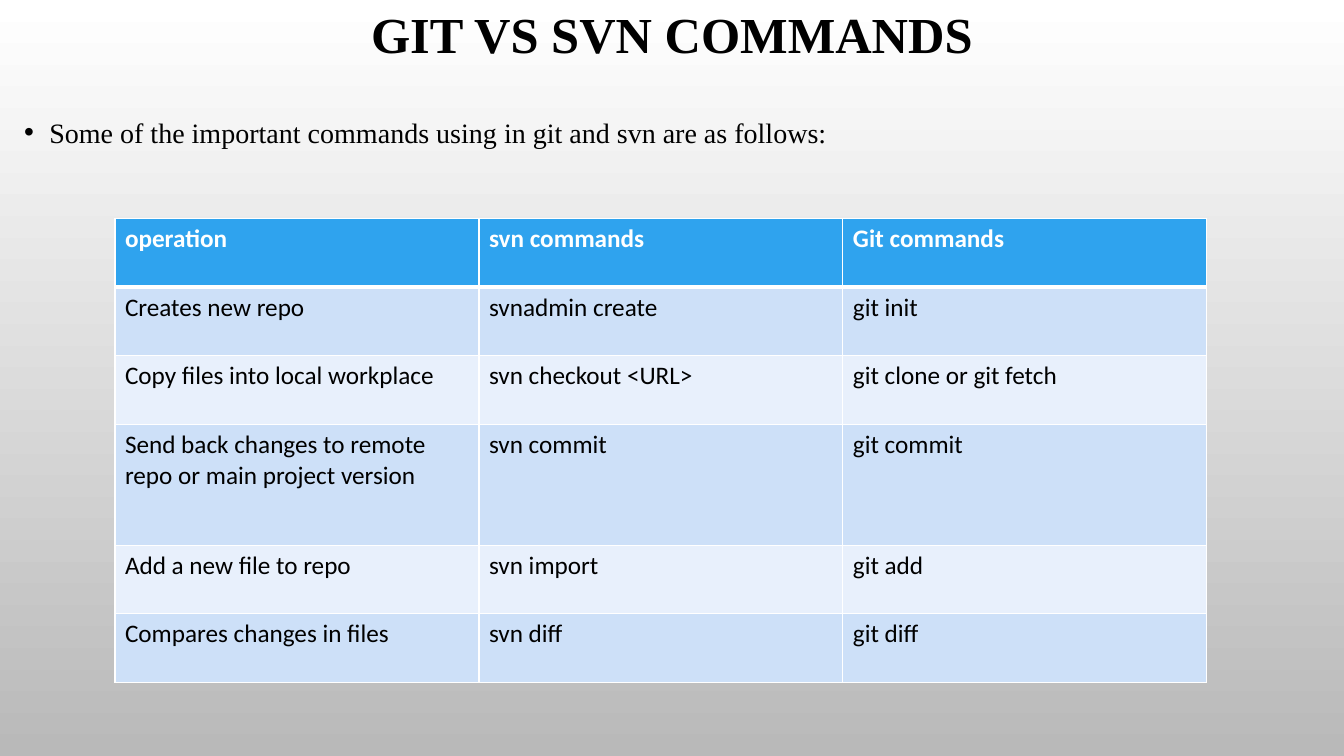
from lxml import etree
from pptx import Presentation
from pptx.dml.color import RGBColor
from pptx.enum.text import MSO_ANCHOR, PP_ALIGN
from pptx.oxml.ns import qn
from pptx.util import Inches, Pt

MIDDLE, TOP = MSO_ANCHOR.MIDDLE, MSO_ANCHOR.TOP
CENTER, LEFT = PP_ALIGN.CENTER, PP_ALIGN.LEFT

COMMANDS = [
    ("operation", "svn commands", "Git commands"),
    ("Creates new repo", "svnadmin create", "git init"),
    ("Copy files into local workplace", "svn checkout <URL>", "git clone or git fetch"),
    ("Send back changes to remote repo or main project version", "svn commit", "git commit"),
    ("Add a new file to repo", "svn import", "git add"),
    ("Compares changes in files", "svn diff", "git diff"),
]
ROW_HEIGHTS = [0.68, 0.68, 0.68, 1.2, 0.68, 0.68]
COLUMN_WIDTH = 3.61


def rgb(color):
    return RGBColor.from_string(color)


class CommandSlide:
    SERIF, SANS = "Times New Roman", "Calibri"
    BLACK, WHITE = "000000", "FFFFFF"
    BACKDROP_END = "B9B9B9"
    HEADER, BANDS = "2FA3EE", ("E8F0FC", "CDE0F8")

    def __init__(self, presentation):
        self.slide = presentation.slides.add_slide(presentation.slide_layouts[6])

    def backdrop(self):
        fill = self.slide.background.fill
        fill.gradient()
        fill.gradient_angle = 270  # counter-clockwise: runs top to bottom
        for stop, color in zip(fill.gradient_stops, (self.WHITE, self.BACKDROP_END)):
            stop.color.rgb = rgb(color)

    def style(self, paragraph, font, size, color, bold=False):
        for run in paragraph.runs:
            run.font.name = font
            run.font.size = Pt(size)
            run.font.bold = bold
            run.font.color.rgb = rgb(color)

    def text(self, words, box, size, align, anchor, spacing, bold=False):
        """Add a text box and return its paragraph."""
        frame = self.slide.shapes.add_textbox(*map(Inches, box)).text_frame
        frame.word_wrap = True
        frame.vertical_anchor = anchor
        frame.text = words
        paragraph = frame.paragraphs[0]
        paragraph.alignment = align
        paragraph.line_spacing = spacing
        self.style(paragraph, self.SERIF, size, self.BLACK, bold)
        return paragraph

    def bullet(self, paragraph, indent):
        properties = paragraph._p.get_or_add_pPr()
        properties.set("marL", str(Inches(indent)))
        properties.set("indent", str(Inches(-indent)))
        etree.SubElement(properties, qn("a:buFont"), typeface="Arial")
        etree.SubElement(properties, qn("a:buChar"), char="•")

    def borders(self, cell, top, bottom):
        """Draw white cell edges; top and bottom are widths in points."""
        properties = cell._tc.get_or_add_tcPr()
        for side, width in (("L", 1), ("R", 1), ("T", top), ("B", bottom)):
            edge = etree.SubElement(properties, qn(f"a:ln{side}"), w=str(Pt(width)))
            fill = etree.SubElement(edge, qn("a:solidFill"))
            etree.SubElement(fill, qn("a:srgbClr"), val=self.WHITE)

    def table(self, rows, left, top, column_width, row_heights):
        columns = len(rows[0])
        table = self.slide.shapes.add_table(
            len(rows), columns, Inches(left), Inches(top),
            Inches(column_width * columns), Inches(sum(row_heights))).table
        for column in table.columns:
            column.width = Inches(column_width)
        for index, (row, height) in enumerate(zip(rows, row_heights)):
            table.rows[index].height = Inches(height)
            header = index == 0
            for position, words in enumerate(row):
                cell = table.cell(index, position)
                cell.text = words
                self.style(cell.text_frame.paragraphs[0], self.SANS, 18,
                           self.WHITE if header else self.BLACK, header)
                self.borders(cell, 3 if index == 1 else 1, 3 if header else 1)
                cell.fill.solid()
                cell.fill.fore_color.rgb = rgb(self.HEADER if header else self.BANDS[index % 2])


def main():
    presentation = Presentation()
    presentation.slide_width = Inches(13.33)
    presentation.slide_height = Inches(7.5)
    page = CommandSlide(presentation)
    page.backdrop()
    page.text("GIT VS SVN COMMANDS", (1, 0, 11.33, 0.73), 36, CENTER, MIDDLE, 0.9, bold=True)
    intro = page.text("Some of the important commands using in git and svn are as follows:",
                      (0.14, 1.03, 13.08, 6.33), 20, LEFT, TOP, 1.2)
    page.bullet(intro, 0.25)
    page.table(COMMANDS, 1.14, 2.17, COLUMN_WIDTH, ROW_HEIGHTS)
    presentation.save("out.pptx")


if __name__ == "__main__":
    main()
